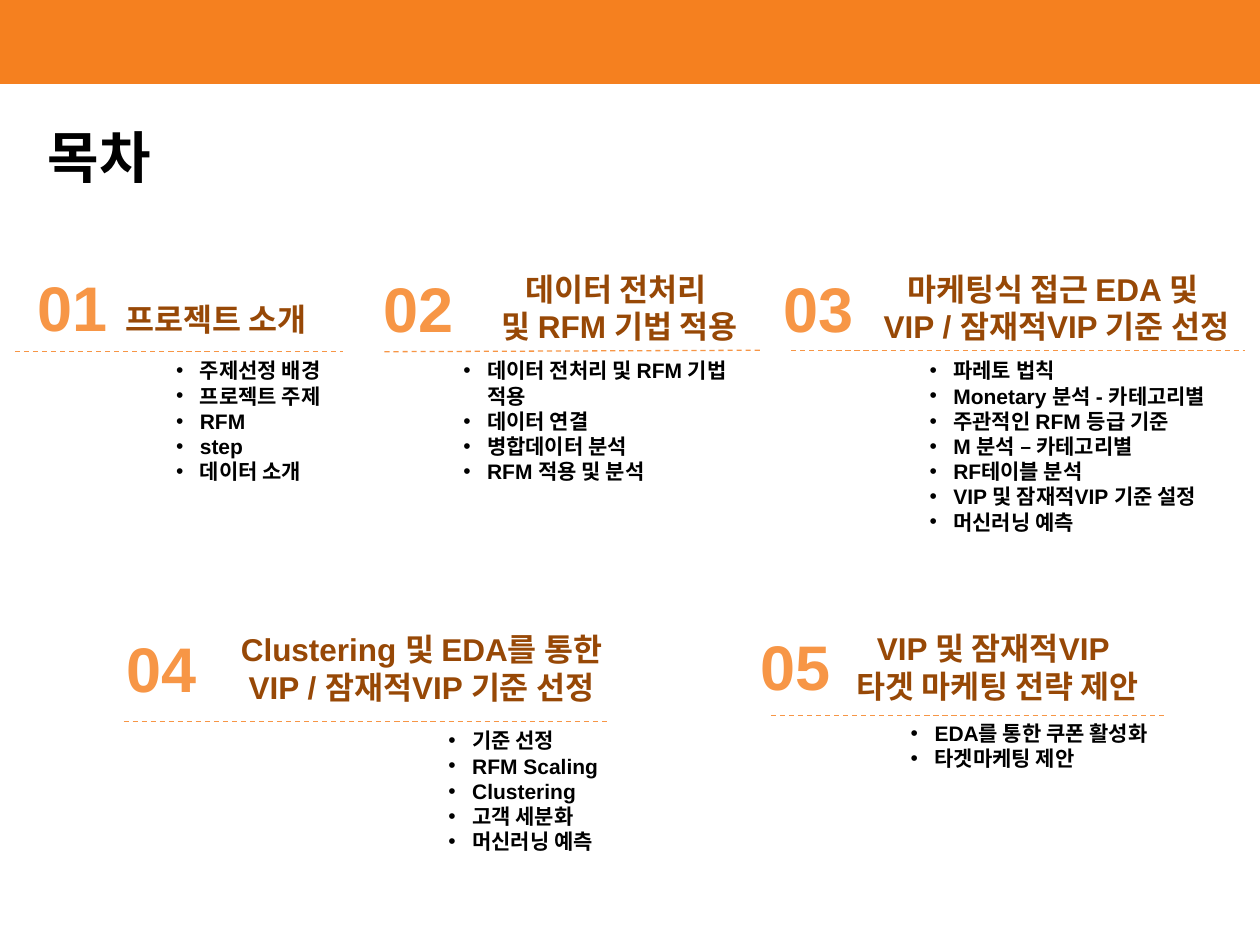
"""Build the table-of-contents slide with five numbered sections."""
from lxml.etree import SubElement
from pptx import Presentation
from pptx.dml.color import RGBColor
from pptx.enum.dml import MSO_LINE_DASH_STYLE as Dash
from pptx.enum.shapes import MSO_CONNECTOR_TYPE as Connector, MSO_SHAPE as Shape
from pptx.enum.text import MSO_AUTO_SIZE as AutoSize, PP_ALIGN as Align
from pptx.oxml.ns import qn
from pptx.util import Cm, Pt

ORANGE, LIGHT, BROWN, BLACK, WHITE = "F5801F", "F79646", "974806", "000000", "FFFFFF"
KOREAN = "Noto Sans CJK KR"
WIDTH, HEIGHT, BAND = 25.4, 19.05, 1.73
INDENT = 0.48

FORMATS = {
    "contents": {"size": Pt(32), "name": KOREAN, "bold": True, "color": BLACK},
    "number": {"size": Pt(36), "name": "Arial", "bold": True, "color": LIGHT},
    "title": {"size": Pt(18), "name": "Arial", "bold": True, "color": BROWN},
    "topic": {"size": Pt(12), "name": "Arial", "bold": True, "color": BLACK},
}

SECTIONS = [
    {
        "number": "01", "number_at": (0.51, 5.28, 7.8, 1.8),
        "title": ["프로젝트 소개"], "title_at": None,
        "rule": (0.3, 7.09, 6.91, 7.09),
        "topics": ["주제선정 배경", "프로젝트 주제", "RFM", "step", "데이터 소개"],
        "topics_at": (3.3, 7.09, 4.01, 2.82),
    },
    {
        "number": "02", "number_at": (7.49, 5.31, 8.99, 1.8),
        "title": ["데이터 전처리 ", "및 RFM 기법 적용"], "title_at": (9.5, 5.31, 5.99, 1.8),
        "rule": (7.75, 7.09, 15.34, 7.06),
        "topics": ["데이터 전처리 및 RFM 기법 적용", "데이터 연결", "병합데이터 분석", "RFM 적용 및 분석"],
        "topics_at": (9.09, 7.09, 6.6, 2.82),
    },
    {
        "number": "03", "number_at": (15.54, 5.31, 2.79, 1.8),
        "title": ["마케팅식 접근 EDA 및 ", "VIP / 잠재적VIP 기준 선정"], "title_at": (17.09, 5.31, 8.41, 1.8),
        "rule": (15.95, 7.06, 25.1, 7.06),
        "topics": ["파레토 법칙", "Monetary 분석 - 카테고리별", "주관적인 RFM 등급 기준",
                   "M 분석 – 카테고리별", "RF테이블 분석", "VIP 및 잠재적VIP 기준 설정", "머신러닝 예측"],
        "topics_at": (18.49, 7.09, 6.81, 3.86),
    },
    {
        "number": "04", "number_at": (2.31, 12.57, 2.79, 1.8),
        "title": ["Clustering 및 EDA를 통한 VIP / 잠재적VIP 기준 선정"], "title_at": (4.29, 12.57, 8.41, 1.8),
        "rule": (2.49, 14.55, 12.29, 14.55),
        "topics": ["기준 선정", "RFM Scaling", "Clustering", "고객 세분화", "머신러닝 예측"],
        "topics_at": (8.79, 14.55, 4.5, 2.82),
    },
    {
        "number": "05", "number_at": (15.09, 12.52, 2.79, 1.8),
        "title": ["VIP 및 잠재적VIP ", "타겟 마케팅 전략 제안"], "title_at": (15.9, 12.55, 8.41, 1.8),
        "rule": (15.54, 14.43, 23.5, 14.43),
        "topics": ["EDA를 통한 쿠폰 활성화", "타겟마케팅 제안"],
        "topics_at": (18.11, 14.4, 5.79, 1.27),
    },
]


def rgb(color):
    return RGBColor.from_string(color)


def add_run(paragraph, text, role):
    run = paragraph.add_run()
    run.text = text
    for key, value in FORMATS[role].items():
        if key == "color":
            run.font.color.rgb = rgb(value)
        else:
            setattr(run.font, key, value)
    SubElement(run.font._element, qn("a:ea"), typeface=KOREAN)


def add_bullet(paragraph):
    properties = paragraph._p.get_or_add_pPr()
    properties.set("marL", str(Cm(INDENT)))
    properties.set("indent", str(-Cm(INDENT)))
    bullet_color = SubElement(properties, qn("a:buClr"))
    SubElement(bullet_color, qn("a:srgbClr"), val=BLACK)
    SubElement(properties, qn("a:buFont"), typeface="Arial")
    SubElement(properties, qn("a:buChar"), char="•")


def add_text(slide, place, lines, role, align=Align.LEFT, bulleted=False):
    frame = slide.shapes.add_textbox(*map(Cm, place)).text_frame
    frame.word_wrap = True
    frame.auto_size = AutoSize.SHAPE_TO_FIT_TEXT
    for index, line in enumerate(lines):
        paragraph = frame.add_paragraph() if index else frame.paragraphs[0]
        paragraph.alignment = align
        if bulleted:
            add_bullet(paragraph)
        add_run(paragraph, line, role)
    return frame


def add_rule(slide, ends):
    rule = slide.shapes.add_connector(Connector.STRAIGHT, *map(Cm, ends))
    rule.line.color.rgb = rgb(LIGHT)
    rule.line.width = Pt(0.75)
    rule.line.dash_style = Dash.DASH
    SubElement(rule._element.spPr, qn("a:effectLst"))


def add_section(slide, section):
    joined = section["title_at"] is None
    number = section["number"] + (" " if joined else "")
    heading = add_text(slide, section["number_at"], [number], "number")
    if joined:
        add_run(heading.paragraphs[0], section["title"][0], "title")
    else:
        add_text(slide, section["title_at"], section["title"], "title", Align.CENTER)
    add_rule(slide, section["rule"])
    add_text(slide, section["topics_at"], section["topics"], "topic", bulleted=True)


def main():
    deck = Presentation()
    deck.slide_width, deck.slide_height = Cm(WIDTH), Cm(HEIGHT)
    slide = deck.slides.add_slide(deck.slide_layouts[6])
    slide.background.fill.solid()
    slide.background.fill.fore_color.rgb = rgb(ORANGE)
    panel = slide.shapes.add_shape(Shape.RECTANGLE, *map(Cm, (0, BAND, WIDTH, HEIGHT - BAND)))
    panel.shadow.inherit = False
    panel.fill.solid()
    panel.fill.fore_color.rgb = rgb(WHITE)
    panel.line.color.rgb = rgb(WHITE)
    panel.line.width = Pt(2)
    add_text(slide, (0.71, 2.34, 3.2, 1.63), ["목차"], "contents")
    for section in SECTIONS:
        add_section(slide, section)
    deck.save("out.pptx")


if __name__ == "__main__":
    main()
